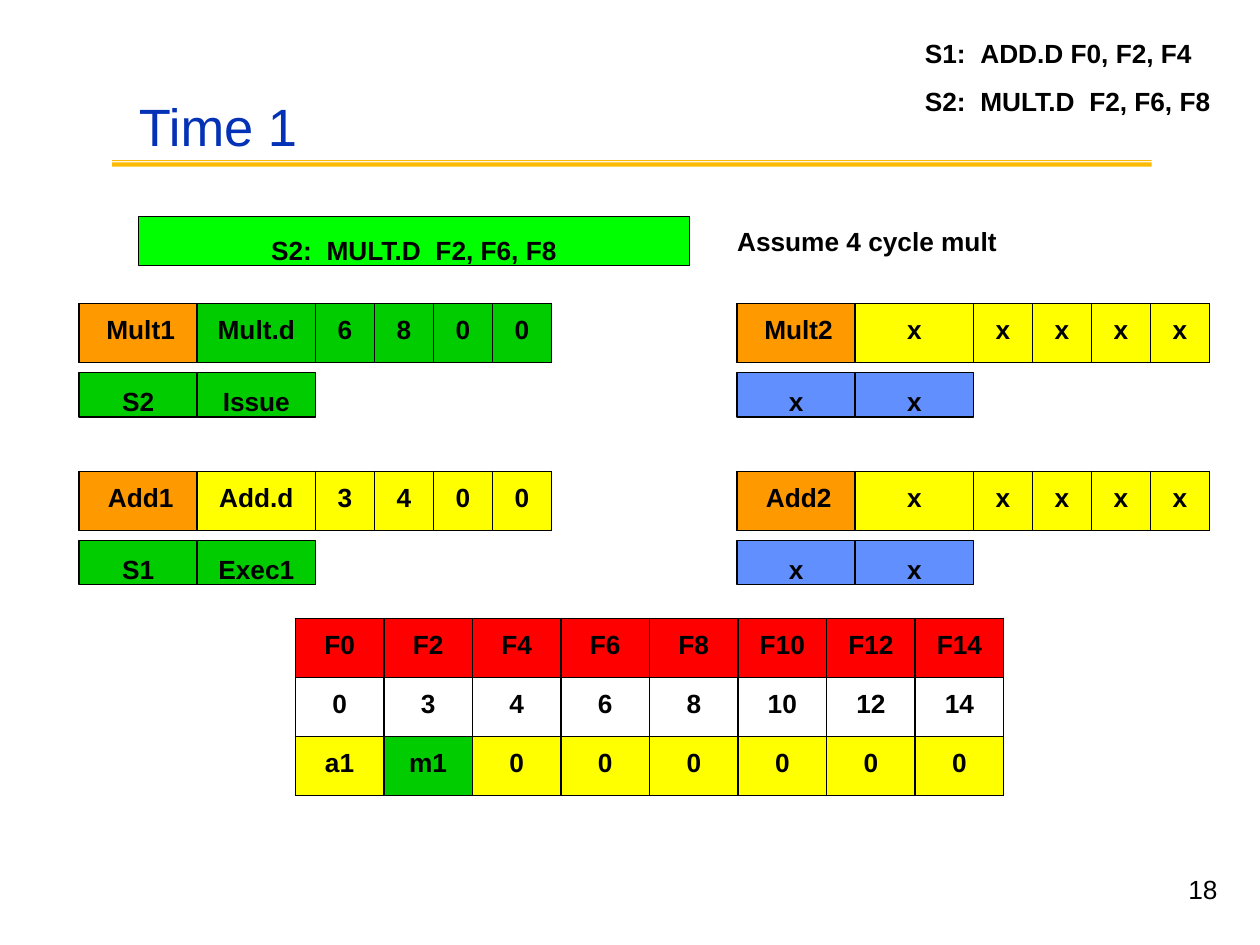
from lxml.etree import SubElement
from pptx import Presentation
from pptx.dml.color import RGBColor
from pptx.enum.shapes import MSO_SHAPE as Shape
from pptx.enum.text import MSO_ANCHOR as Anchor, PP_ALIGN as Align
from pptx.oxml.ns import qn
from pptx.util import Inches, Pt

BLACK, WHITE, GOLD, TITLE_BLUE = "000000", "FFFFFF", "FBBA03", "0332B7"
ORANGE, YELLOW, RED = "FF9900", "FFFF00", "FF0000"
GREEN, BRIGHT_GREEN, BLUE = "00CC00", "00FF00", "618FFD"

WIDE_GAP = " "
ADD = ["S1:", WIDE_GAP, "ADD.D F0, F2, F4"]
MULTIPLY = ["S2:", WIDE_GAP, "MULT.D", WIDE_GAP, "F2, F6, F8"]

LEFT, RIGHT = 1.34, 12.48
STATION_COLUMNS = [2, 2, 1, 1, 1, 1]
IDLE = ["x"] * 5
# left, top, name, operation and operands, their fill, status, status fill
STATIONS = [
    (LEFT, 5.14, "Mult1", ["Mult.d", "6", "8", "0", "0"], GREEN, ["S2", "Issue"], GREEN),
    (RIGHT, 5.14, "Mult2", IDLE, YELLOW, ["x", "x"], BLUE),
    (LEFT, 7.98, "Add1", ["Add.d", "3", "4", "0", "0"], YELLOW, ["S1", "Exec1"], GREEN),
    (RIGHT, 7.98, "Add2", IDLE, YELLOW, ["x", "x"], BLUE),
]
REGISTERS = [
    ["F0", "F2", "F4", "F6", "F8", "F10", "F12", "F14"],
    ["0", "3", "4", "6", "8", "10", "12", "14"],
    ["a1", "m1"] + ["0"] * 6,
]


def rgb(color):
    return RGBColor.from_string(color)


def grid(cells):
    """Length of a number of grid cells; eight cells make one station."""
    return Inches(cells * 3.75 / 8)


def write(frame, text, size=15, color=BLACK, bold=True, align=Align.LEFT, line_spacing=None):
    """Fill the first paragraph; a list of strings becomes one run each."""
    paragraph = frame.paragraphs[0]
    paragraph.alignment = align
    if line_spacing:
        paragraph.line_spacing = line_spacing
    for piece in [text] if isinstance(text, str) else text:
        run = paragraph.add_run()
        run.text = piece
        run.font.name = "Arial"
        run.font.size = Pt(size)
        run.font.bold = bold
        run.font.color.rgb = rgb(color)
        if piece == WIDE_GAP:
            run.font._element.set("spc", "420")


def set_insets(target, left=0, top=0):
    target.margin_left, target.margin_top = Inches(left), Inches(top)
    target.margin_right = target.margin_bottom = 0


def add_borders(cell):
    properties = cell._tc.get_or_add_tcPr()
    for index, side in enumerate(("lnL", "lnR", "lnT", "lnB")):
        line = properties.makeelement(qn("a:" + side), {"w": str(Pt(1))})
        fill = SubElement(line, qn("a:solidFill"))
        SubElement(fill, qn("a:srgbClr"), val=BLACK)
        properties.insert(index, line)


class Board:
    def __init__(self, slide):
        self.shapes = slide.shapes

    def text(self, left, top, width, height, text, inset_top=0.01, **style):
        box = self.shapes.add_textbox(*map(grid, (left, top, width, height)))
        box.text_frame.word_wrap = True
        set_insets(box.text_frame, top=inset_top)
        write(box.text_frame, text, **style)

    def box(self, left, top, width, height, text, fill, inset=(0, 0.1), align=Align.CENTER):
        shape = self.shapes.add_shape(Shape.RECTANGLE, *map(grid, (left, top, width, height)))
        shape.shadow.inherit = False
        shape.fill.solid()
        shape.fill.fore_color.rgb = rgb(fill)
        shape.line.color.rgb = rgb(BLACK)
        shape.line.width = Pt(0.8)
        frame = shape.text_frame
        frame.word_wrap = True
        frame.vertical_anchor = Anchor.TOP
        set_insets(frame, *inset)
        write(frame, text, align=align)

    def table(self, left, top, widths, rows, fills, first_inset=0):
        """Rows are one grid cell high; first_inset nudges the first column."""
        frame = self.shapes.add_table(len(rows), len(widths), grid(left), grid(top),
                                      grid(sum(widths)), grid(len(rows)))
        table = frame.table
        table.first_row = table.horz_banding = False
        for column, width in zip(table.columns, widths):
            column.width = grid(width)
        for row, texts, colors in zip(table.rows, rows, fills):
            row.height = grid(1)
            for index, (cell, text, color) in enumerate(zip(row.cells, texts, colors)):
                set_insets(cell, 0 if index else first_inset, 0.1)
                cell.fill.solid()
                cell.fill.fore_color.rgb = rgb(color)
                add_borders(cell)
                write(cell.text_frame, text, align=Align.CENTER)

    def double_rule(self, left, top, width):
        """One outline with a thin band above a thicker one."""
        right = left + width
        bands = [(top, top + 0.02), (top + 0.04, top + 0.11)]
        builder = self.shapes.build_freeform(grid(left), grid(top))
        for index, (upper, lower) in enumerate(bands):
            if index:
                builder.move_to(grid(left), grid(upper))
            corners = [(right, upper), (right, lower), (left, lower)]
            builder.add_line_segments([(grid(x), grid(y)) for x, y in corners], close=True)
        rule = builder.convert_to_shape()
        rule.shadow.inherit = False
        rule.fill.solid()
        rule.fill.fore_color.rgb = rgb(GOLD)
        rule.line.fill.background()

    def station(self, left, top, name, operands, fill, status, status_fill):
        self.table(left, top, STATION_COLUMNS, [[name] + operands],
                   [[ORANGE] + [fill] * 5], first_inset=0.04)
        for index, text in enumerate(status):
            self.box(left + 2 * index, top + 1.17, 2, 0.75, text, status_fill)


def main():
    presentation = Presentation()
    presentation.slide_width, presentation.slide_height = Inches(10), Inches(7.5)
    board = Board(presentation.slides.add_slide(presentation.slide_layouts[6]))

    board.double_rule(1.9, 2.71, 17.6)
    board.text(2.35, 1.58, 2.9, 1.1, "Time 1", size=30, color=TITLE_BLUE, bold=False)
    board.box(2.35, 3.67, 9.32, 0.83, MULTIPLY, BRIGHT_GREEN, (1.05, 0.14), Align.LEFT)
    board.text(RIGHT, 3.8, 4.6, 0.55, "Assume 4 cycle mult")
    for station in STATIONS:
        board.station(*station)
    register_fills = [[RED] * 8, [WHITE] * 8, [YELLOW, GREEN] + [YELLOW] * 6]
    board.table(5, 10.47, [1.5] * 8, REGISTERS, register_fills)
    board.text(15.66, 0.32, 4.95, 1.58, ADD + [" ".join(["", MULTIPLY[0]])] + MULTIPLY[1:],
               line_spacing=1.53)
    board.text(20.12, 14.8, 0.7, 1, "18", inset_top=0, bold=False, line_spacing=Pt(17.5))

    presentation.save("out.pptx")


if __name__ == "__main__":
    main()
